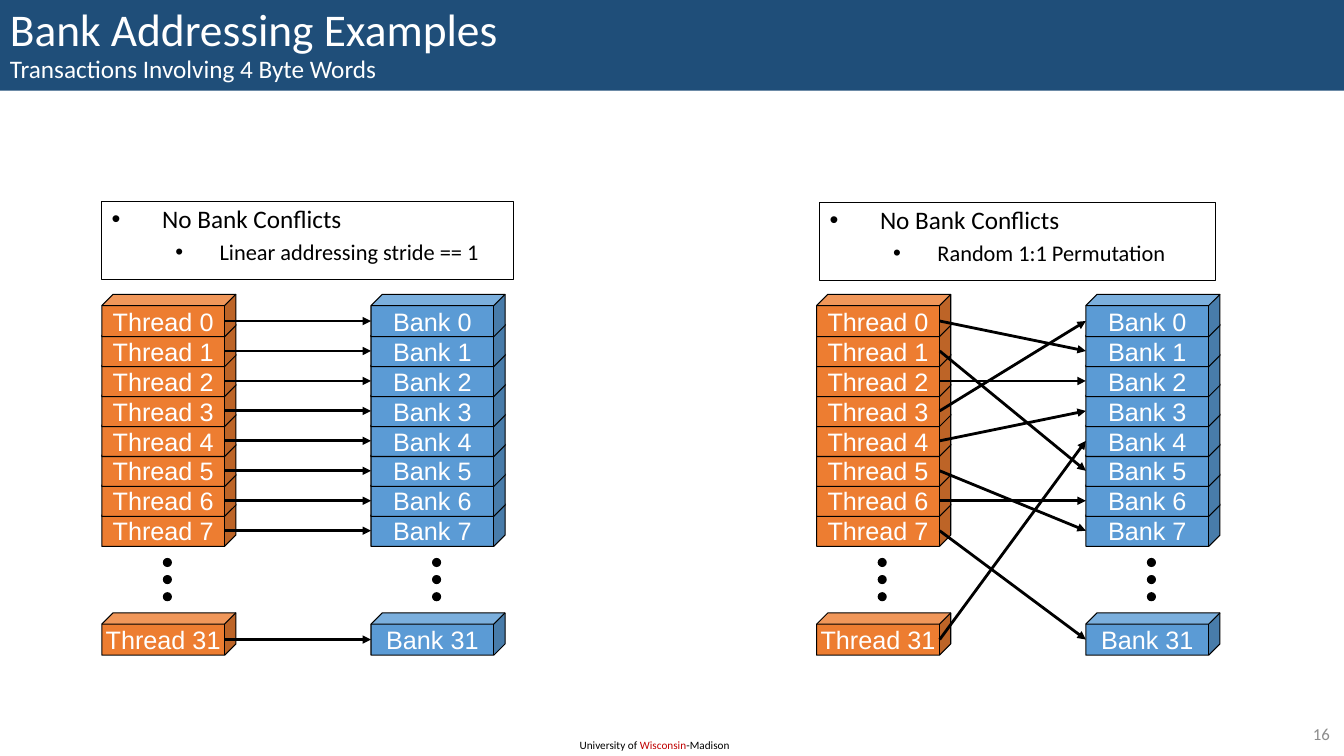
from lxml import etree
from pptx import Presentation
from pptx import util as u
from pptx.dml import color
from pptx.enum import shapes, text
from pptx.oxml import ns

COLORS = {
    "banner": "1F4E79",
    "thread": "ED7D31",
    "bank": "5B9BD5",
    "ink": "000000",
    "paper": "FFFFFF",
    "accent": "C00000",
    "muted": "8C8C8C",
}
ROWS = [0, 1, 2, 3, 4, 5, 6, 7, 31]
LINEAR = {row: row for row in ROWS}
PERMUTATION = {0: 1, 1: 5, 2: 2, 3: 0, 4: 3, 5: 7, 6: 6, 7: 31, 31: 4}
CUBE_WIDTH, CUBE_HEIGHT, CUBE_DEPTH = 1.33, 0.42, 0.11
ROW_STEP = 2.08 / 7
LAST_ROW_TOP = 3.16
BANK_OFFSET = 2.67
DOT_SIZE = 0.08


def rgb(name):
    return color.RGBColor.from_string(COLORS[name])


def inches(*lengths):
    return [u.Inches(length) for length in lengths]


def style_font(font, size, name, fill):
    font.size = u.Pt(size)
    font.name = name
    font.color.rgb = rgb(fill)


def add_filled(parent, kind, box, fill, line=None):
    shape = parent.add_shape(kind, *inches(*box))
    shape.shadow.inherit = False
    shape.fill.solid()
    shape.fill.fore_color.rgb = rgb(fill)
    if line:
        shape.line.color.rgb = rgb(line)
        shape.line.width = u.Pt(0.75)
    else:
        shape.line.fill.background()
    return shape


def add_banner(slide, box, title, subtitle):
    banner = add_filled(slide.shapes, shapes.MSO_SHAPE.RECTANGLE, box, "banner")
    frame = banner.text_frame
    frame.word_wrap = True
    frame.vertical_anchor = text.MSO_ANCHOR.MIDDLE
    paragraph = frame.paragraphs[0]
    paragraph.alignment = text.PP_ALIGN.LEFT
    paragraph.line_spacing = 0.9
    for content, size in ((title, 32.4), (subtitle, 18)):
        if paragraph.runs:
            paragraph.add_line_break()
        run = paragraph.add_run()
        run.text = content
        style_font(run.font, size, "Calibri", "paper")


def add_caption(slide, box, heading, detail):
    caption = add_filled(slide.shapes, shapes.MSO_SHAPE.RECTANGLE, box, "paper", "ink")
    frame = caption.text_frame
    frame.word_wrap = True
    frame.vertical_anchor = text.MSO_ANCHOR.TOP
    levels = ((heading, 18, 0.5, -0.5, 10), (detail, 16, 1.07, -0.44, 5))
    for level, (content, size, margin, indent, space) in enumerate(levels):
        paragraph = frame.add_paragraph() if level else frame.paragraphs[0]
        paragraph.text = content
        paragraph.level = level
        paragraph.alignment = text.PP_ALIGN.LEFT
        paragraph.line_spacing = 0.9
        paragraph.space_before = u.Pt(space)
        style_font(paragraph.font, size, "Calibri", "ink")
        properties = paragraph._p.get_or_add_pPr()
        properties.set("marL", str(u.Inches(margin)))
        properties.set("indent", str(u.Inches(indent)))
        bullet_font = etree.Element(ns.qn("a:buFont"), typeface="Arial")
        bullet = etree.Element(ns.qn("a:buChar"), char="•")
        spacing = properties.find(ns.qn("a:spcBef"))
        spacing.addnext(bullet_font)
        bullet_font.addnext(bullet)


def row_top(row, top):
    return top + (LAST_ROW_TOP if row == ROWS[-1] else row * ROW_STEP)


def add_stack(group, left, top, label, fill):
    for row in reversed(ROWS):
        box = (left, row_top(row, top), CUBE_WIDTH, CUBE_HEIGHT)
        cube = add_filled(group.shapes, shapes.MSO_SHAPE.CUBE, box, fill, "ink")
        cube.adjustments[0] = 0.266
        frame = cube.text_frame
        frame.word_wrap = False
        frame.vertical_anchor = text.MSO_ANCHOR.MIDDLE
        paragraph = frame.paragraphs[0]
        paragraph.text = f"{label} {row}"
        paragraph.alignment = text.PP_ALIGN.CENTER
        style_font(paragraph.font, 18, "Arial", "paper")
    for dot in range(3):
        box = (left + 0.61, top + 2.62 + dot * 0.17, DOT_SIZE, DOT_SIZE)
        add_filled(group.shapes, shapes.MSO_SHAPE.OVAL, box, "ink", "ink")


def add_arrow(group, start, end):
    arrow = group.shapes.add_connector(
        shapes.MSO_CONNECTOR.STRAIGHT, *inches(*start, *end)
    )
    arrow.line.color.rgb = rgb("ink")
    arrow.line.width = u.Pt(2)
    etree.SubElement(arrow.line._get_or_add_ln(), ns.qn("a:tailEnd"), type="triangle")
    etree.SubElement(arrow._element.spPr, ns.qn("a:effectLst"))


def add_mapping(slide, left, top, mapping):
    group = slide.shapes.add_group_shape()
    add_stack(group, left + BANK_OFFSET, top, "Bank", "bank")
    add_stack(group, left, top, "Thread", "thread")
    front_middle = (CUBE_HEIGHT + CUBE_DEPTH) / 2
    for thread, bank in mapping.items():
        start = (left + CUBE_WIDTH - CUBE_DEPTH, row_top(thread, top) + front_middle)
        end = (left + BANK_OFFSET, row_top(bank, top) + front_middle)
        add_arrow(group, start, end)


def add_label(slide, box, pieces, size, alignment, anchor):
    label = slide.shapes.add_textbox(*inches(*box))
    frame = label.text_frame
    frame.word_wrap = True
    frame.vertical_anchor = anchor
    paragraph = frame.paragraphs[0]
    paragraph.alignment = alignment
    for content, fill in pieces:
        run = paragraph.add_run()
        run.text = content
        style_font(run.font, size, "Calibri", fill)


def add_footer(slide, box, number):
    left, top, width, height = box
    university = (("University of ", "ink"), ("Wisconsin", "accent"), ("-Madison", "ink"))
    add_label(slide, (left + 5.65, top + 0.15, 1.72, 0.24), university, 8,
              text.PP_ALIGN.LEFT, text.MSO_ANCHOR.TOP)
    add_label(slide, (left + width - 0.8, top, 0.76, 0.29), ((number, "muted"),), 12,
              text.PP_ALIGN.RIGHT, text.MSO_ANCHOR.MIDDLE)


def main():
    presentation = Presentation()
    presentation.slide_width, presentation.slide_height = inches(13.33, 7.5)
    slide = presentation.slides.add_slide(presentation.slide_layouts[6])
    add_banner(slide, (0, 0, 13.33, 0.9), "Bank Addressing Examples",
               "Transactions Involving 4 Byte Words")
    add_caption(slide, (1.01, 2, 4.08, 0.77), "No Bank Conflicts",
                "Linear addressing stride == 1")
    add_caption(slide, (8.13, 2.01, 3.93, 0.77), "No Bank Conflicts",
                "Random 1:1 Permutation")
    add_mapping(slide, 1.01, 2.92, LINEAR)
    add_mapping(slide, 8.1, 2.92, PERMUTATION)
    add_footer(slide, (0, 7.13, 13.33, 0.37), "16")
    presentation.save("out.pptx")


if __name__ == "__main__":
    main()
